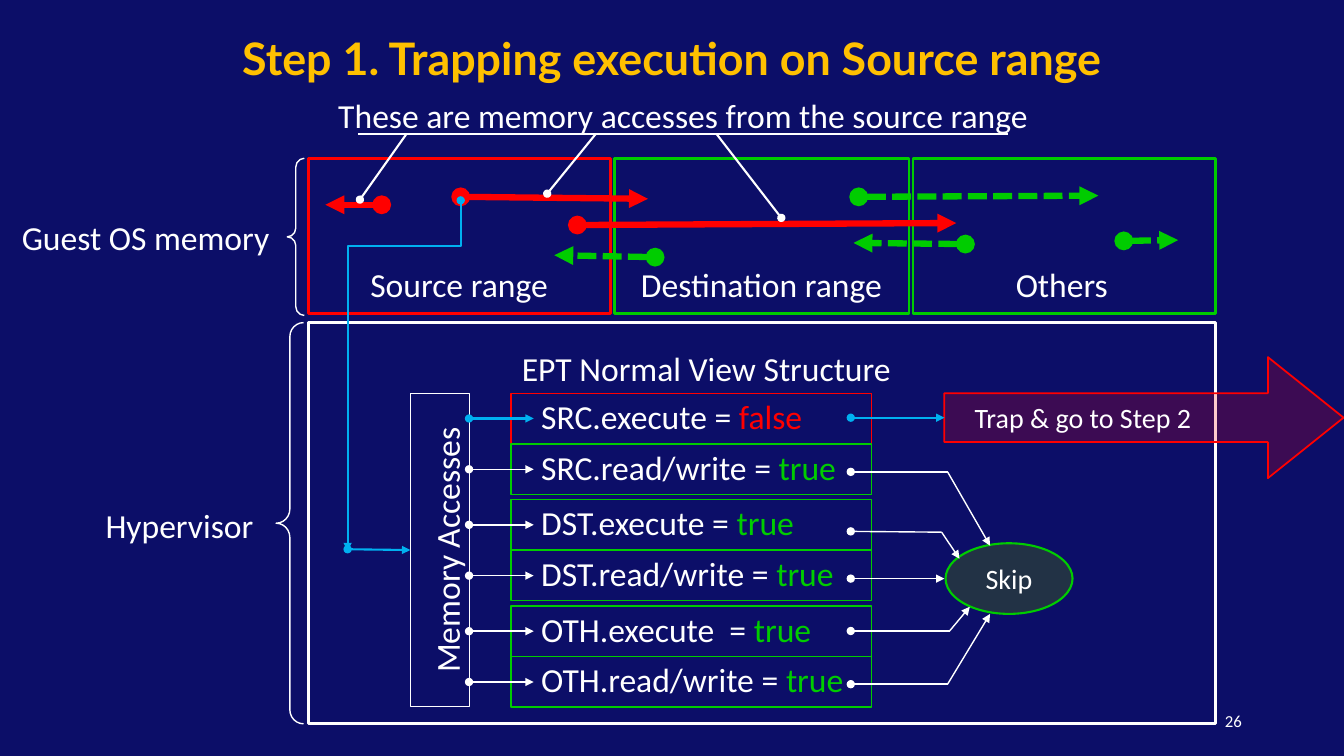
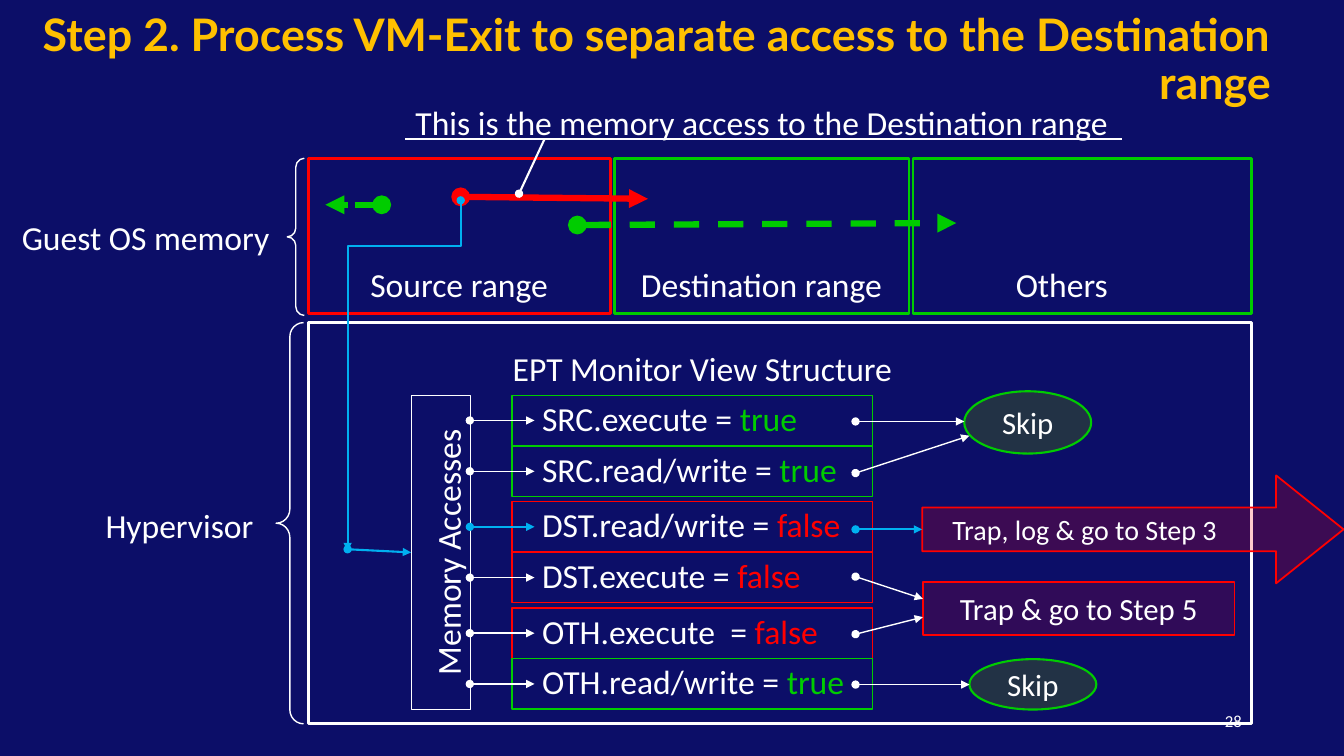
from collections import namedtuple

from lxml.etree import SubElement
from pptx import Presentation
from pptx.dml.color import RGBColor
from pptx.enum.dml import MSO_LINE
from pptx.enum.shapes import MSO_CONNECTOR, MSO_SHAPE
from pptx.enum.text import MSO_ANCHOR, PP_ALIGN
from pptx.oxml.ns import qn
from pptx.util import Cm, Pt

NAVY = RGBColor(0x0C, 0x0E, 0x68)
GOLD = RGBColor(0xFF, 0xC0, 0x00)
WHITE = RGBColor(0xFF, 0xFF, 0xFF)
RED = RGBColor(0xFF, 0x00, 0x00)
GREEN = RGBColor(0x00, 0xCC, 0x00)
BLUE = RGBColor(0x00, 0xB0, 0xF0)
MOSS = RGBColor(0x38, 0x57, 0x23)

TITLE_FONT = "Lato"
BODY_FONT = "Calibri"

# All box values are centimetres
Box = namedtuple("Box", "left top width height")
MEMORY = Box(7.77, 3.99, 22.86, 3.91)
HYPERVISOR = Box(7.77, 8.13, 22.86, 10.11)
ROW_HEIGHT = 1.27
ROW_PITCH = 1.28
PAIR_PITCH = 2.68


def inside(box, left, top, width, height):
    return Box(box.left + left, box.top + top, width, height)


# Text and shapes
def write(shape, runs, size=24, align=PP_ALIGN.LEFT, anchor=MSO_ANCHOR.MIDDLE,
          spacing=None, font=BODY_FONT, bold=False, indent=0.25):
    frame = shape.text_frame
    frame.word_wrap = True
    frame.vertical_anchor = anchor
    frame.margin_left = Cm(indent)
    paragraph = frame.paragraphs[0]
    paragraph.alignment = align
    if spacing:
        paragraph.line_spacing = spacing
    for text, color in runs:
        run = paragraph.add_run()
        run.text = text
        run.font.name = font
        run.font.size = Pt(size)
        run.font.bold = bold
        run.font.color.rgb = color


def add_label(slide, box, text, color=WHITE, anchor=MSO_ANCHOR.TOP, **style):
    label = slide.shapes.add_textbox(*map(Cm, box))
    write(label, [(text, color)], anchor=anchor, **style)


def add_outline(slide, kind, box, color, weight, fill=None, opacity=100):
    shape = slide.shapes.add_shape(kind, *map(Cm, box))
    shape.shadow.inherit = False
    shape.line.color.rgb = color
    shape.line.width = Pt(weight)
    if fill is None:
        shape.fill.background()
    else:
        shape.fill.solid()
        shape.fill.fore_color.rgb = fill
        fill_color = shape.element.spPr.find(qn("a:solidFill"))[0]
        SubElement(fill_color, qn("a:alpha")).set("val", str(opacity * 1000))
    return shape


# Connectors
def style_connector(connector, color, weight, head=None, tail=None, dash=None):
    connector.line.color.rgb = color
    connector.line.width = Pt(weight)
    if dash:
        connector.line.dash_style = dash
    properties = connector.element.spPr
    line = properties.find(qn("a:ln"))
    for tag, kind in (("a:headEnd", head), ("a:tailEnd", tail)):
        if kind:
            SubElement(line, qn(tag)).set("type", kind)
    SubElement(properties, qn("a:effectLst"))


def add_line(slide, start, end, color=WHITE, weight=1, head="oval",
             tail="triangle", dash=None, target=None):
    connector = slide.shapes.add_connector(
        MSO_CONNECTOR.STRAIGHT, *map(Cm, (*start, *end)))
    if target is not None:
        connector.end_connect(target, 1)
    style_connector(connector, color, weight, head, tail, dash)


def add_path(slide, box, points):
    """Draw a jointed arrow through points given relative to the box."""
    points = [(box.left + x, box.top + y) for x, y in points]
    last = len(points) - 2
    for index, (start, end) in enumerate(zip(points, points[1:])):
        add_line(slide, start, end, head="oval" if index == 0 else None,
                 tail="triangle" if index == last else None)


def add_drop(slide, start, end, bend):
    """Draw an elbow that leaves downwards, turns left and goes down again."""
    length, shift = end[1] - start[1], start[0] - end[0]
    left = (start[0] + end[0] - length) / 2
    top = (start[1] + end[1] - shift) / 2
    connector = slide.shapes.add_connector(
        MSO_CONNECTOR.ELBOW, Cm(left), Cm(top), Cm(left + length), Cm(top + shift))
    properties = connector.element.spPr
    properties.find(qn("a:xfrm")).set("rot", str(90 * 60000))
    geometry = properties.find(qn("a:prstGeom"))
    adjustments = geometry.find(qn("a:avLst"))
    if adjustments is None:
        adjustments = SubElement(geometry, qn("a:avLst"))
    guide = SubElement(adjustments, qn("a:gd"))
    guide.set("name", "adj1")
    guide.set("fmla", f"val {round(bend * 100000)}")
    style_connector(connector, BLUE, 1.5, "oval", "triangle")


# Outcomes of a memory access
def add_skip(slide, box, size):
    skip = add_outline(slide, MSO_SHAPE.OVAL, box, GREEN, 1.5, MOSS, 50)
    write(skip, [("Skip", WHITE)], size, PP_ALIGN.CENTER)


def add_trap_arrow(slide, box, text, exit_x):
    trap = add_outline(slide, MSO_SHAPE.RIGHT_ARROW, box, RED, 1.25, RED, 20)
    trap.adjustments[0] = 0.404
    trap.adjustments[1] = 0.625
    write(trap, [(text, WHITE)], 20, indent=0.76)
    middle = box.top + box.height / 2
    add_line(slide, (exit_x, middle), (box.left, middle), BLUE, 1.5, target=trap)


# Regions shared by both slides
def add_frame(slide, title, title_box, title_align, number):
    slide.background.fill.solid()
    slide.background.fill.fore_color.rgb = NAVY
    add_label(slide, title_box, title, GOLD, MSO_ANCHOR.MIDDLE, size=32,
              align=title_align, spacing=0.9, font=TITLE_FONT, bold=True)
    add_label(slide, Box(23.93, 17.65, 7.62, 1.02), number, anchor=MSO_ANCHOR.MIDDLE,
              size=12, align=PP_ALIGN.RIGHT)


def add_brace(slide, box):
    brace = add_outline(slide, MSO_SHAPE.LEFT_BRACE, box, WHITE, 1)
    brace.adjustments[0] = 0.516
    brace.adjustments[1] = 0.5


def add_memory(slide, box, accesses):
    """Draw the three ranges and the accesses (colour, dash, start, end)."""
    add_label(slide, inside(box, -7.47, 1.34, 6.81, 1.27), "Guest OS memory")
    add_brace(slide, inside(box, -0.53, 0, 0.43, 3.96))
    for text, color, left, width, label_width in (
            ("Others", GREEN, 15.24, box.width - 15.24, 7.5),
            ("Destination range", GREEN, 7.72, 7.42, 7.4),
            ("Source range", RED, 0, 7.62, 7.6)):
        add_outline(slide, MSO_SHAPE.RECTANGLE,
                    inside(box, left, 0, width, box.height), color, 2)
        add_label(slide, inside(box, left, 2.54, label_width, 1.27), text,
                  align=PP_ALIGN.CENTER)
    for color, dash, start, end in accesses:
        add_line(slide, (box.left + start[0], box.top + start[1]),
                 (box.left + end[0], box.top + end[1]), color, 4.5, dash=dash)


def add_note(slide, box, text, underline, leaders):
    """Draw the underlined remark and leaders (marked point, x on the underline)."""
    left, right, height = underline
    add_label(slide, box, text, align=PP_ALIGN.CENTER)
    add_line(slide, (left, height), (right, height), weight=1.5, head=None, tail=None)
    for point, joint in leaders:
        add_line(slide, point, (joint, height), weight=1.5, tail=None)


def add_hypervisor(slide, box):
    add_outline(slide, MSO_SHAPE.RECTANGLE, box, WHITE, 2)
    add_brace(slide, inside(box, -0.81, 0, 0.69, box.height))
    add_label(slide, inside(box, -5.36, 4.47, 4.6, 1.27), "Hypervisor")


def add_view(slide, box, caption, caption_box, rows, traced):
    """Draw the permission rows, the access bar and the arrows between them."""
    add_label(slide, caption_box, caption)
    bar_box = inside(box, -2.54, 0, 1.5, box.height)
    bar = add_outline(slide, MSO_SHAPE.RECTANGLE, bar_box, WHITE, 0.75)
    write(bar, [("Memory Accesses", WHITE)], align=PP_ALIGN.CENTER, spacing=1.2)
    bar.text_frame._txBody.bodyPr.set("vert", "vert270")
    for index, (name, allowed) in enumerate(rows):
        color = GREEN if allowed else RED
        top = index // 2 * PAIR_PITCH + index % 2 * ROW_PITCH
        row = add_outline(slide, MSO_SHAPE.RECTANGLE,
                          inside(box, 0, top, box.width, ROW_HEIGHT), color, 1)
        write(row, [(name + " = ", WHITE), ("true" if allowed else "false", color)],
              spacing=0.9, indent=0.76)
        middle = box.top + top + ROW_HEIGHT / 2
        add_line(slide, (box.left - 1.06, middle), (box.left + 0.57, middle),
                 BLUE if index == traced else WHITE, 1.5 if index == traced else 1)
    # Route of the traced access from memory to the bar
    add_drop(slide, (11.61, 5.05), (8.76, 13.89), 0.129)
    add_line(slide, (8.76, 13.84), (bar_box.left, 13.87), BLUE, 1.5, target=bar)


def build_step_one(slide):
    add_frame(slide, "Step 1. Trapping execution on Source range",
              Box(0, 0.36, 33.87, 2.36), PP_ALIGN.CENTER, "26")
    dash = MSO_LINE.SQUARE_DOT
    add_memory(slide, MEMORY, (
        (GREEN, dash, (16.56, 2.16), (13.74, 2.13)),
        (GREEN, dash, (20.55, 2.08), (21.92, 2.06)),
        (GREEN, dash, (13.87, 0.97), (19.91, 0.94)),
        (RED, None, (1.85, 1.17), (0.43, 1.17)),
        (GREEN, dash, (8.74, 2.49), (6.2, 2.44)),
        (RED, None, (6.78, 1.68), (16.33, 1.63)),
        (RED, None, (3.84, 0.97), (8.56, 1.02))))
    add_note(slide, Box(5.72, 2.26, 22.99, 1.27),
             "These are memory accesses from the source range", (9.02, 25.4, 3.38),
             (((13.79, 4.88), 15.01), ((19.69, 5.49), 18.06), ((9.07, 5.03), 10.24)))
    add_hypervisor(slide, HYPERVISOR)
    view = Box(12.88, 9.91, 9.09, 7.9)
    add_view(slide, view, "EPT Normal View Structure", Box(12.9, 8.64, 9.88, 1.27), (
        ("SRC.execute", False), ("SRC.read/write", True),
        ("DST.execute", True), ("DST.read/write", True),
        ("OTH.execute ", True), ("OTH.read/write", True)), 0)
    # Outcomes
    exit_x = 8.56
    add_trap_arrow(slide, inside(view, 10.92, -0.91, 10.06, 3.05),
                   "Trap & go to Step 2", view.left + exit_x)
    add_skip(slide, inside(view, 10.95, 3.78, 3.2, 1.78), 20)
    for height, *route in ((1.98, (11, 1.98), (12.07, 3.84)),
                           (3.48, (10.85, 3.5), (11.3, 4.17)),
                           (4.67, (10.92, 4.67)),
                           (5.99, (11.05, 5.99), (11.56, 5.38)),
                           (7.33, (11, 7.33), (12.07, 5.56))):
        add_path(slide, view, [(exit_x, height), *route])


def build_step_two(slide):
    add_frame(slide, "Step 2. Process VM-Exit to separate access to the Destination range",
              Box(0, 0.36, 32.28, 2.36), PP_ALIGN.RIGHT, "28")
    add_memory(slide, MEMORY._replace(width=23.77), (
        (GREEN, MSO_LINE.DASH, (6.78, 1.68), (16.33, 1.63)),
        (RED, None, (3.84, 0.97), (8.56, 1.02)),
        (GREEN, MSO_LINE.SQUARE_DOT, (1.85, 1.17), (0.43, 1.17))))
    add_note(slide, Box(7.75, 2.44, 22.89, 1.27),
             "This is the memory access to the Destination range", (10.21, 28.27, 3.51),
             (((13.08, 4.88), 13.72),))
    add_hypervisor(slide, HYPERVISOR._replace(width=23.77))
    view = Box(12.9, 9.96, 9.09, 7.92)
    add_view(slide, view, "EPT Monitor View Structure", Box(12.67, 8.64, 10.77, 1.27), (
        ("SRC.execute", True), ("SRC.read/write", True),
        ("DST.read/write", False), ("DST.execute", False),
        ("OTH.execute ", False), ("OTH.read/write", True)), 2)
    # Outcomes
    exit_x = 8.66
    add_skip(slide, inside(view, 11.4, -0.1, 3.2, 1.57), 22)
    add_skip(slide, inside(view, 11.53, 6.65, 3.2, 1.27), 22)
    add_trap_arrow(slide, inside(view, 10.34, 2.02, 10.62, 2.72),
                   "Trap, log & go to Step 3", view.left + exit_x)
    trap = add_outline(slide, MSO_SHAPE.RECTANGLE, inside(view, 10.36, 4.7, 7.85, 1.35),
                       RED, 1.25, RED, 15)
    write(trap, [("Trap & go to Step 5", WHITE)], 22, PP_ALIGN.CENTER)
    for height, end in ((0.66, (11.4, 0.66)), (1.96, (11.53, 1.02)),
                        (4.57, (10.36, 5.13)), (6.02, (10.36, 5.59)),
                        (7.29, (11.53, 7.29))):
        add_path(slide, view, [(exit_x, height), end])


def main():
    presentation = Presentation()
    presentation.slide_width = Cm(33.87)
    presentation.slide_height = Cm(19.05)
    for build in (build_step_one, build_step_two):
        build(presentation.slides.add_slide(presentation.slide_layouts[6]))
    presentation.save("out.pptx")


if __name__ == "__main__":
    main()
